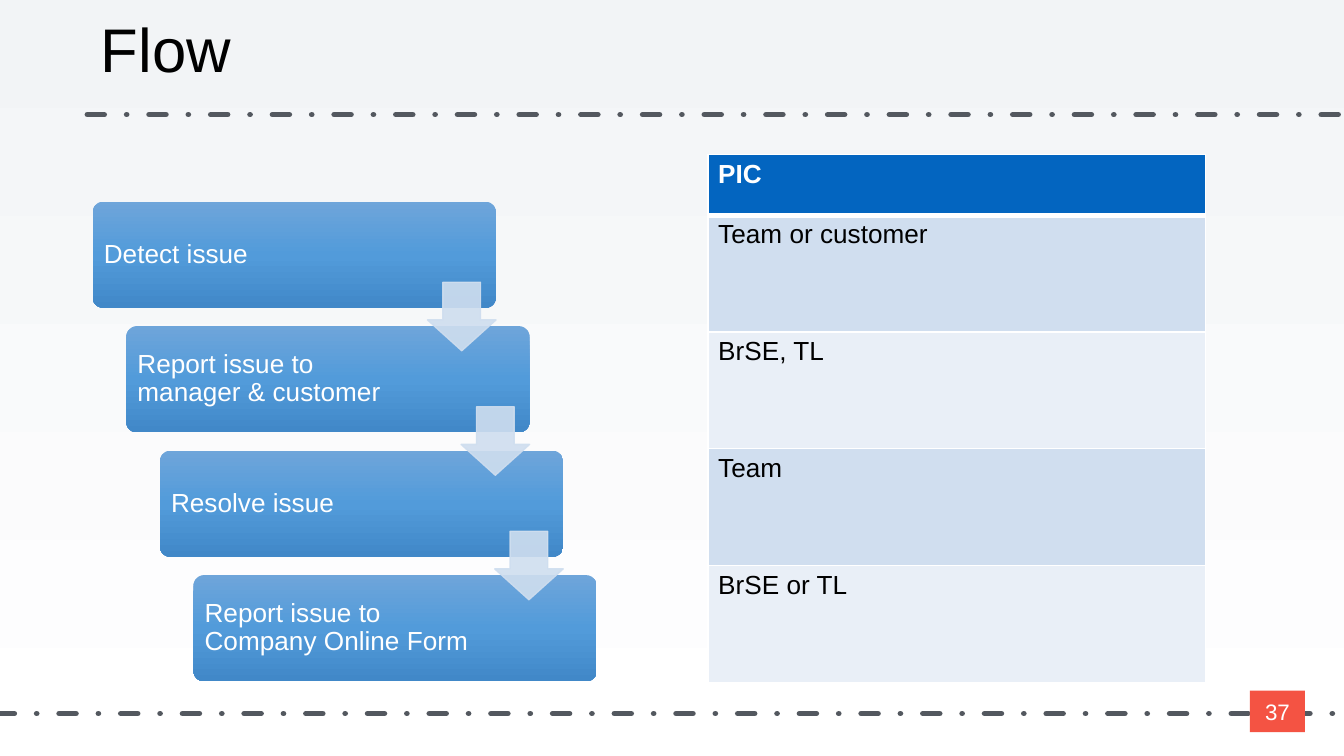
from copy import deepcopy
from dataclasses import dataclass

from lxml import etree
from pptx import Presentation
from pptx.dml.color import RGBColor
from pptx.enum import dml, shapes, text
from pptx.oxml import ns
from pptx.util import Pt

# Colours
WHITE = RGBColor(0xFF, 0xFF, 0xFF)
BLACK = RGBColor(0x00, 0x00, 0x00)
MIST = RGBColor(0xF2, 0xF4, 0xF6)
SLATE = RGBColor(0x53, 0x58, 0x5F)
CORAL = RGBColor(0xF4, 0x53, 0x43)
STEP_BLUES = [
    RGBColor(0x6E, 0xA5, 0xDA),
    RGBColor(0x52, 0x9B, 0xDA),
    RGBColor(0x41, 0x88, 0xC8),
]
ARROW_BLUE = RGBColor(0xCF, 0xDE, 0xEF)
HEADER_BLUE = RGBColor(0x03, 0x65, 0xC0)
BAND_DARK = RGBColor(0xD0, 0xDE, 0xEF)
BAND_LIGHT = RGBColor(0xE9, 0xEF, 0xF7)


@dataclass(frozen=True)
class Step:
    label: str
    owner: str


STEPS = [
    Step("Detect issue", "Team or customer"),
    Step("Report issue to manager & customer", "BrSE, TL"),
    Step("Resolve issue", "Team"),
    Step("Report issue to Company Online Form", "BrSE or TL"),
]

# Staircase geometry, in points
STEP_LEFT, STEP_TOP = 49.7, 108
STEP_RIGHT_SHIFT, STEP_DOWN_SHIFT = 18, 66.7
STEP_WIDTH, STEP_HEIGHT = 216, 56.9
ARROW_RIGHT_SHIFT, ARROW_DOWN_SHIFT, ARROW_SIZE = 179.3, 43.2, 36.7


def set_attributes(target, values: dict) -> None:
    for name, value in values.items():
        setattr(target, name, value)


def write(frame, words: str, size: float, color: RGBColor, insets: tuple,
          bold: bool = False, spacing=None, align=text.PP_ALIGN.LEFT) -> None:
    """Put one formatted paragraph in a text frame or table cell."""
    sides = ("margin_left", "margin_top", "margin_right", "margin_bottom")
    set_attributes(frame, {side: Pt(inset) for side, inset in zip(sides, insets)})
    body = getattr(frame, "text_frame", frame)
    body.word_wrap = True
    para = body.paragraphs[0]
    set_attributes(para, {"alignment": align, "line_spacing": spacing})
    span = para.add_run()
    span.text = words
    set_attributes(span.font, {"name": "Arial", "size": Pt(size), "bold": bold})
    span.font.color.rgb = color


def fill_gradient(owner, fill, colors: list) -> None:
    """Fill from top to bottom with evenly spaced colours."""
    fill.gradient()
    fill.gradient_angle = 270
    stop_list = owner._element.find(".//" + ns.qn("a:gsLst"))
    for _ in colors[2:]:
        stop_list.append(deepcopy(stop_list[0]))
    for index, (stop, color) in enumerate(zip(fill.gradient_stops, colors)):
        stop.position = index / (len(colors) - 1)
        stop.color.rgb = color


def add_box(page, kind, left: float, top: float, width: float, height: float):
    box = page.shapes.add_shape(kind, Pt(left), Pt(top), Pt(width), Pt(height))
    box.shadow.inherit = False
    box.line.fill.background()
    box.text_frame.vertical_anchor = text.MSO_ANCHOR.MIDDLE
    return box


def add_rule(page, left: float, right: float, top: float) -> None:
    rule = page.shapes.add_connector(
        shapes.MSO_CONNECTOR.STRAIGHT, Pt(left), Pt(top), Pt(right), Pt(top))
    rule.line.color.rgb = SLATE
    set_attributes(rule.line, {"width": Pt(3),
                               "dash_style": dml.MSO_LINE.DASH_DOT})
    rule.line._get_or_add_ln().set("cap", "rnd")
    etree.SubElement(rule._element.spPr, ns.qn("a:effectLst"))


def add_step(page, index: int, step: Step) -> None:
    box = add_box(page, shapes.MSO_SHAPE.ROUNDED_RECTANGLE,
                  STEP_LEFT + index * STEP_RIGHT_SHIFT,
                  STEP_TOP + index * STEP_DOWN_SHIFT, STEP_WIDTH, STEP_HEIGHT)
    box.adjustments[0] = 0.1
    fill_gradient(box, box.fill, STEP_BLUES)
    write(box.text_frame, step.label, 14, WHITE, (4.3, 4.3, 59, 4.3), spacing=0.9)


def add_arrow(page, index: int) -> None:
    arrow = add_box(page, shapes.MSO_SHAPE.DOWN_ARROW,
                    STEP_LEFT + ARROW_RIGHT_SHIFT + index * STEP_RIGHT_SHIFT,
                    STEP_TOP + ARROW_DOWN_SHIFT + index * STEP_DOWN_SHIFT,
                    ARROW_SIZE, ARROW_SIZE)
    arrow.adjustments[0], arrow.adjustments[1] = 0.55, 0.45
    arrow.line.width = Pt(0.75)
    for fill in (arrow.fill, arrow.line.fill):
        fill.solid()
        fill.fore_color.rgb = ARROW_BLUE
    for color in arrow._element.spPr.iter(ns.qn("a:srgbClr")):
        etree.SubElement(color, ns.qn("a:alpha"), val="90000")


def set_borders(cell, widths: dict) -> None:
    properties = cell._tc.get_or_add_tcPr()
    for position, (side, width) in enumerate(widths.items()):
        line = etree.Element(ns.qn("a:" + side), w=str(Pt(width)))
        solid = etree.SubElement(line, ns.qn("a:solidFill"))
        etree.SubElement(solid, ns.qn("a:srgbClr"), val=str(WHITE))
        properties.insert(position, line)


def add_owner_table(page, steps: list) -> None:
    heights = [32.4] + [62.6] * len(steps)
    table = page.shapes.add_table(len(heights), 1, Pt(379.4), Pt(82.8),
                                  Pt(266.4), Pt(sum(heights))).table
    table.columns[0].width = Pt(266.4)
    for index, words in enumerate(["PIC"] + [step.owner for step in steps]):
        header = index == 0
        table.rows[index].height = Pt(heights[index])
        cell = table.cell(index, 0)
        cell.fill.solid()
        cell.fill.fore_color.rgb = (
            HEADER_BLUE if header else BAND_DARK if index % 2 else BAND_LIGHT)
        write(cell, words, 14, WHITE if header else BLACK, (5.4, 2.7, 5.4, 2.7),
              bold=header)
        set_borders(cell, {"lnL": 1, "lnR": 1, "lnT": 3 if index == 1 else 1,
                           "lnB": 3 if header else 1})


def main() -> None:
    deck = Presentation()
    set_attributes(deck, {"slide_width": Pt(720), "slide_height": Pt(405)})
    page = deck.slides.add_slide(deck.slide_layouts[5])

    # Background and rules
    fill_gradient(page, page.background.fill, [MIST, WHITE])
    add_rule(page, 46.8, 718.6, 61.4)
    add_rule(page, -1.4, 718.6, 382.3)

    # Title
    title = page.shapes.title
    set_attributes(title, {"left": Pt(49), "top": Pt(16.6),
                           "width": Pt(548), "height": Pt(23)})
    set_attributes(title.text_frame, {"auto_size": text.MSO_AUTO_SIZE.NONE,
                                      "vertical_anchor": text.MSO_ANCHOR.MIDDLE})
    write(title.text_frame, "Flow", 33, BLACK, (5, 2.9, 5, 2.9), spacing=0.9)

    # Staircase of steps, with arrows on top
    for index, step in enumerate(STEPS):
        add_step(page, index, step)
    for index in range(len(STEPS) - 1):
        add_arrow(page, index)

    # Person in charge of each step
    add_owner_table(page, STEPS)

    # Page number
    badge = add_box(page, shapes.MSO_SHAPE.RECTANGLE, 669.6, 370, 29.5, 22.3)
    badge.fill.solid()
    badge.fill.fore_color.rgb = CORAL
    write(badge.text_frame, "37", 12, WHITE, (0, 0, 0, 0),
          align=text.PP_ALIGN.CENTER)

    deck.save("out.pptx")


if __name__ == "__main__":
    main()
